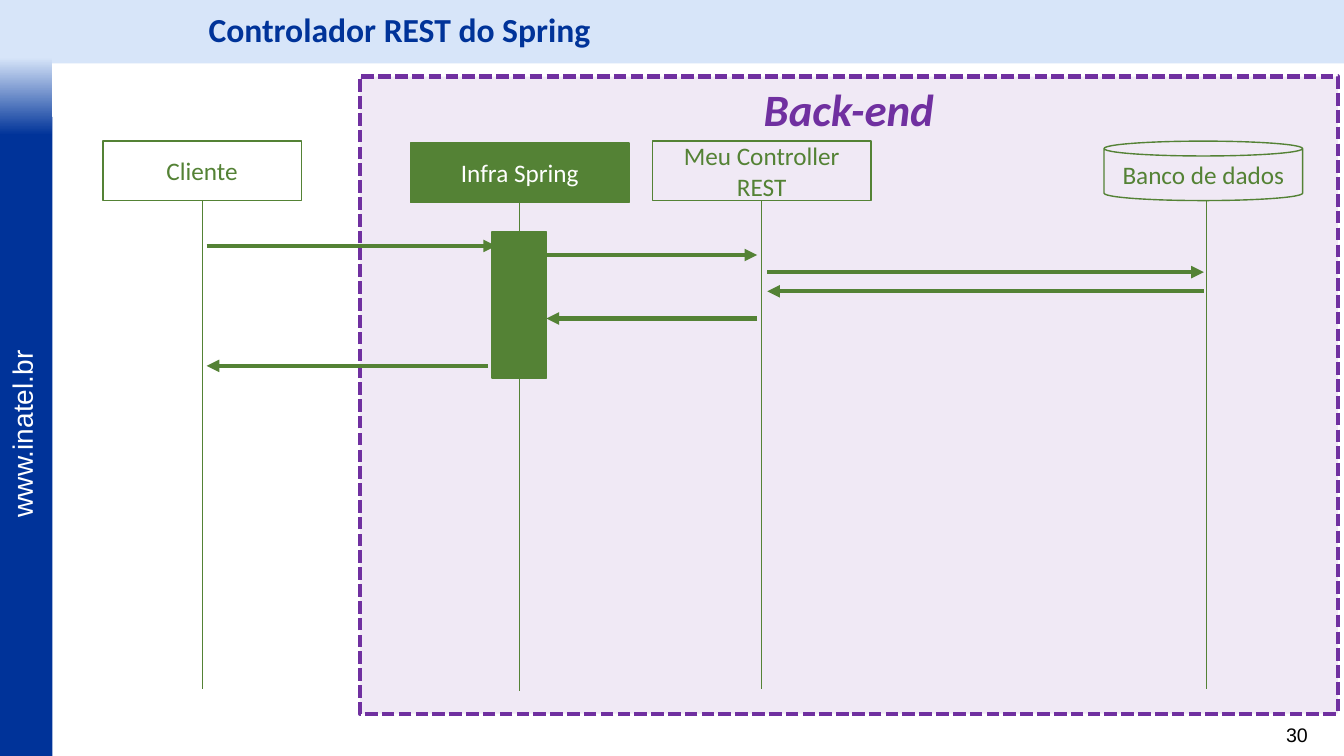
from dataclasses import dataclass

from lxml import etree
from pptx import Presentation
from pptx.dml.color import RGBColor
from pptx.enum.dml import MSO_LINE
from pptx.enum.shapes import MSO_CONNECTOR, MSO_SHAPE
from pptx.enum.text import MSO_ANCHOR, PP_ALIGN
from pptx.oxml.ns import qn
from pptx.util import Inches, Pt

RECTANGLE, CAN = MSO_SHAPE.RECTANGLE, MSO_SHAPE.CAN
STRAIGHT = MSO_CONNECTOR.STRAIGHT
SQUARE_DOT = MSO_LINE.SQUARE_DOT
TOP, MIDDLE = MSO_ANCHOR.TOP, MSO_ANCHOR.MIDDLE
LEFT, CENTER, RIGHT = PP_ALIGN.LEFT, PP_ALIGN.CENTER, PP_ALIGN.RIGHT
BOTTOM_SIDE = 2


@dataclass(frozen=True)
class Theme:
    sky: str = "D7E5F9"
    navy: str = "003399"
    purple: str = "7030A0"
    green: str = "548235"
    white: str = "FFFFFF"
    black: str = "000000"
    heading_font: str = "Calibri"
    frame_font: str = "Arial"
    region_size: int = 32
    title_size: int = 24
    address_size: int = 20
    label_size: int = 18
    number_size: int = 14
    thin: float = 0.5
    outline: float = 1
    thick: float = 3


class SequenceSlide:
    def __init__(self, deck, theme):
        self.theme = theme
        self.page = deck.slides.add_slide(deck.slide_layouts[6])

    def shape(self, area, fill=None, line=None, width=None, kind=RECTANGLE):
        box = self.page.shapes.add_shape(kind, *map(Inches, area))
        box.shadow.inherit = False
        if fill:
            box.fill.solid()
            box.fill.fore_color.rgb = RGBColor.from_string(fill)
        else:
            box.fill.background()
        if line:
            box.line.color.rgb = RGBColor.from_string(line)
            box.line.width = Pt(width or self.theme.outline)
        else:
            box.line.fill.background()
        return box

    def gradient(self, area, colors):
        box = self.shape(area)
        box.fill.gradient()
        box.fill.gradient_angle = 270
        for stop, color in zip(box.fill.gradient_stops, colors):
            stop.color.rgb = RGBColor.from_string(color)

    def add_text(self, box, text, size, color, font=None, align=CENTER,
                 anchor=MIDDLE, wrap=True, bold=False, italic=False):
        frame = box.text_frame
        frame.word_wrap = wrap
        frame.vertical_anchor = anchor
        para = frame.paragraphs[0]
        para.alignment = align
        span = para.add_run()
        span.text = text
        span.font.name = font or self.theme.heading_font
        span.font.size = Pt(size)
        span.font.bold = bold
        span.font.italic = italic
        span.font.color.rgb = RGBColor.from_string(color)
        return para

    def text_box(self, area):
        return self.page.shapes.add_textbox(*map(Inches, area))

    def region(self, area, label):
        color = self.theme.purple
        box = self.shape(area, color, color, self.theme.thick)
        box.line.dash_style = SQUARE_DOT
        tint = box._element.spPr.find(qn("a:solidFill"))[0]
        etree.SubElement(tint, qn("a:alpha"), val="10000")
        self.add_text(box, label, self.theme.region_size, color,
                      anchor=TOP, bold=True, italic=True)

    def line(self, start, end, width):
        link = self.page.shapes.add_connector(STRAIGHT, *map(Inches, start + end))
        link.line.color.rgb = RGBColor.from_string(self.theme.green)
        link.line.width = Pt(width)
        etree.SubElement(link._element.spPr, qn("a:effectLst"))
        return link

    def arrow(self, start_x, end_x, y):
        link = self.line((start_x, y), (end_x, y), self.theme.thick)
        outline = link._element.spPr.find(qn("a:ln"))
        etree.SubElement(outline, qn("a:tailEnd"), type="triangle")

    def participant(self, label, area, axis, filled=False, kind=RECTANGLE):
        theme = self.theme
        fill, color = (theme.green, theme.white) if filled else (None, theme.green)
        box = self.shape(area, fill, theme.green, kind=kind)
        self.add_text(box, label, theme.label_size, color)
        bottom = area[1] + area[3]
        lifeline = self.line((axis, bottom), (axis, bottom + 4.85), theme.thin)
        if kind == RECTANGLE:
            lifeline.begin_connect(box, BOTTOM_SIDE)
            lifeline.end_x = lifeline.begin_x


def main():
    deck = Presentation()
    deck.slide_width, deck.slide_height = Inches(13.33), Inches(7.5)
    theme = Theme()
    slide = SequenceSlide(deck, theme)

    slide.shape((0, 0, 13.33, 0.63), theme.sky)
    slide.shape((0, 1.16, 0.52, 6.34), theme.navy)
    slide.gradient((0, 0.57, 0.52, 0.77), (theme.sky, theme.navy))

    address = slide.text_box((-0.72, 4.09, 1.87, 0.43))
    address.rotation = 270
    slide.add_text(address, "www.inatel.br", theme.address_size, theme.white,
                   theme.frame_font, anchor=TOP, wrap=False)
    slide.add_text(slide.text_box((12.42, 7.12, 0.65, 0.34)), "30",
                   theme.number_size, theme.black, theme.frame_font, RIGHT, TOP)

    slide.region((3.57, 0.76, 9.7, 6.32), "Back-end")
    title = slide.add_text(slide.text_box((1.97, 0, 11.36, 0.63)),
                           "Controlador REST do Spring", theme.title_size,
                           theme.navy, align=LEFT, bold=True)
    title.line_spacing = 0.9

    slide.participant("Cliente", (1.02, 1.4, 1.97, 0.59), 1.99)
    slide.participant("Meu Controller REST", (6.47, 1.4, 2.17, 0.59), 7.55)
    slide.participant("Banco de dados", (10.95, 1.4, 1.97, 0.59), 11.96, kind=CAN)
    slide.participant("Infra Spring", (4.07, 1.42, 2.17, 0.59), 5.15, filled=True)
    slide.shape((4.88, 2.3, 0.54, 1.45), theme.green, theme.green)

    messages = (
        (2.05, 4.92, 2.44),
        (5.42, 7.51, 2.53),
        (7.61, 11.94, 2.7),
        (11.94, 7.61, 2.89),
        (7.51, 5.42, 3.16),
        (4.84, 2.05, 3.63),
    )
    for message in messages:
        slide.arrow(*message)

    deck.save("out.pptx")


if __name__ == "__main__":
    main()
